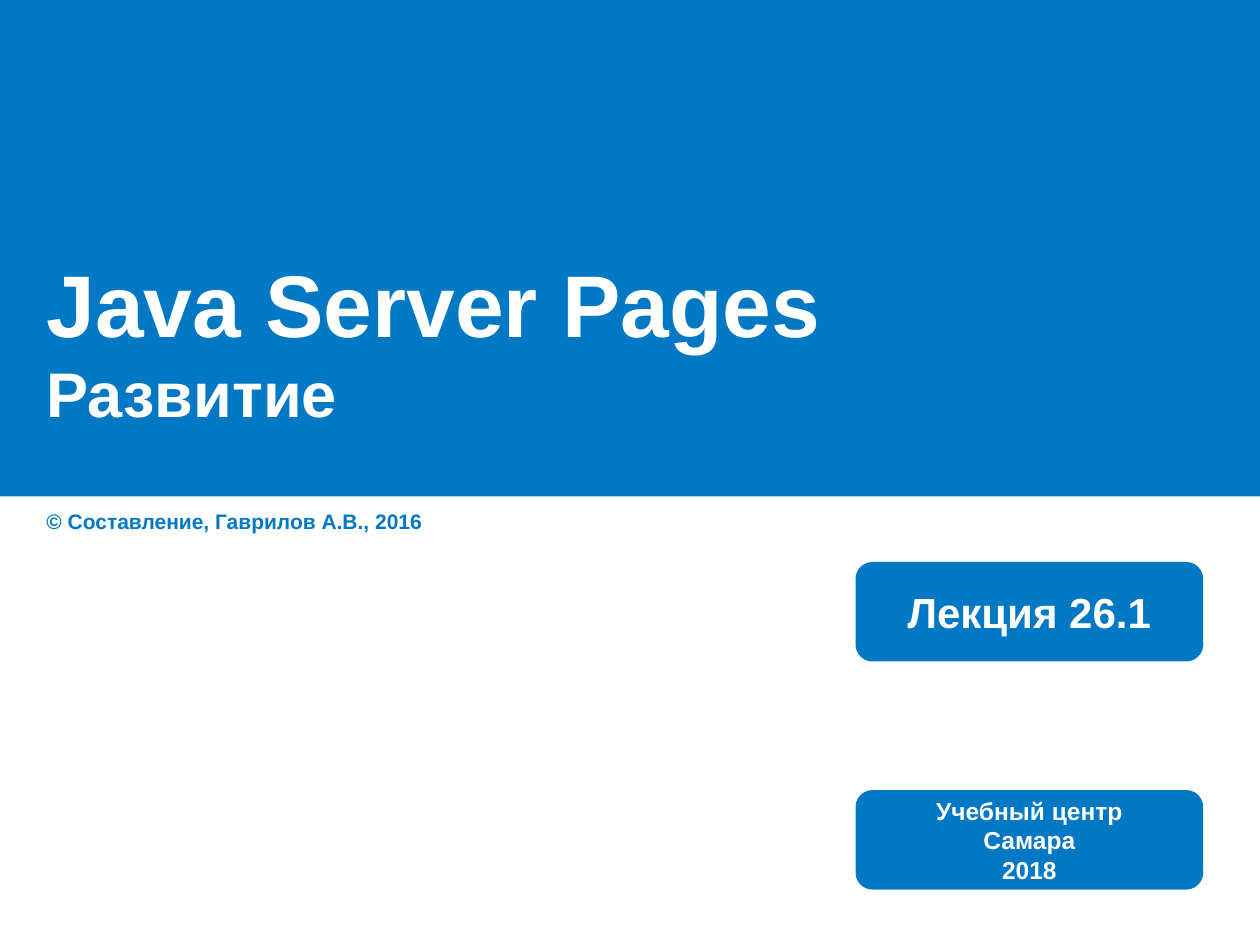
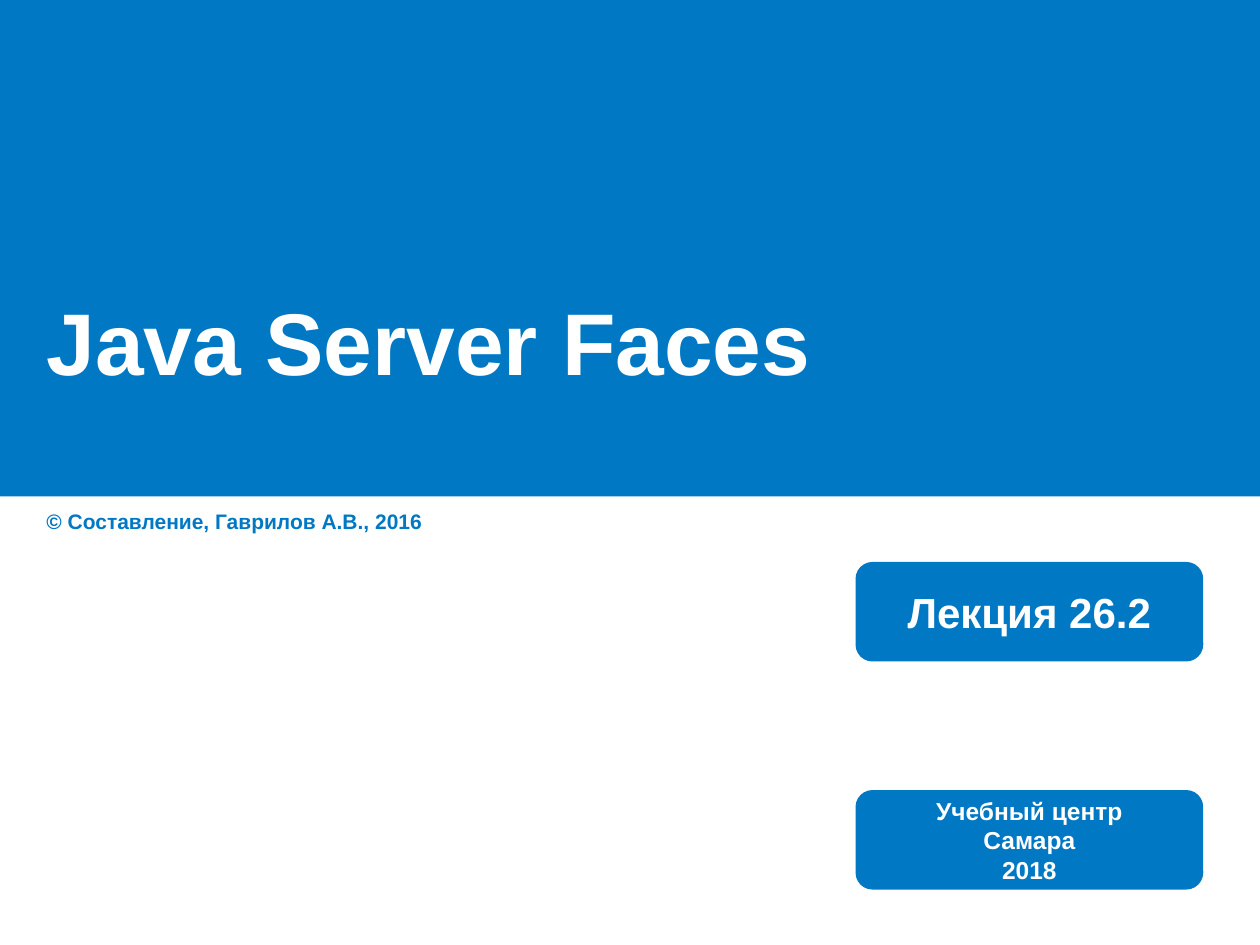
from dataclasses import dataclass

from pptx import Presentation
from pptx.dml.color import RGBColor
from pptx.enum.shapes import MSO_SHAPE
from pptx.enum.text import MSO_ANCHOR, MSO_AUTO_SIZE, PP_ALIGN
from pptx.util import Emu, Pt

RECTANGLE = MSO_SHAPE.RECTANGLE
ROUNDED = MSO_SHAPE.ROUNDED_RECTANGLE
TOP, MIDDLE = MSO_ANCHOR.TOP, MSO_ANCHOR.MIDDLE
LEFT, CENTER = PP_ALIGN.LEFT, PP_ALIGN.CENTER
NO_FIT, GROW = MSO_AUTO_SIZE.NONE, MSO_AUTO_SIZE.SHAPE_TO_FIT_TEXT

EMU_PER_PX = 9144  # 100 px to the inch
BLUE, WHITE = "0078C3", "FFFFFF"
FONT = "Arial"


@dataclass(frozen=True)
class Area:
    left: int
    top: int
    width: int
    height: int

    def emu(self) -> tuple[Emu, ...]:
        sides = (self.left, self.top, self.width, self.height)
        return tuple(Emu(side * EMU_PER_PX) for side in sides)


@dataclass(frozen=True)
class Line:
    text: str
    size: int


@dataclass(frozen=True)
class Badge:
    top: int
    lines: tuple[Line, ...]


@dataclass(frozen=True)
class Lecture:
    number: str
    title: tuple[Line, ...]


PAGE = Area(0, 0, 1000, 750)
BAND = Area(0, 0, PAGE.width, 394)
TITLE = Area(27, 149, 945, 242)
CREDIT = Area(27, 399, 488, 30)
BADGE_LEFT, BADGE_WIDTH, BADGE_HEIGHT = 679, 276, 79

CREDIT_LINE = Line("© Составление, Гаврилов А.В., 2016", 12)
SCHOOL = Badge(627, tuple(Line(text, 14) for text in ("Учебный центр", "Самара", "2018")))
LECTURES = (
    Lecture("26.1", (Line("Java Server Pages", 50), Line("Развитие", 36))),
    Lecture("26.2", (Line("Java Server Faces", 50),)),
)


def rgb(value: str) -> RGBColor:
    return RGBColor.from_string(value)


def add_span(para, text: str, *, size: int, color: str = WHITE) -> None:
    span = para.add_run()
    span.text = text
    span.font.name = FONT
    span.font.size = Pt(size)
    span.font.bold = True
    span.font.color.rgb = rgb(color)


def set_frame(box, *, anchor=MIDDLE, wrap: bool = True, fit=NO_FIT):
    frame = box.text_frame
    frame.vertical_anchor = anchor
    frame.word_wrap = wrap
    frame.auto_size = fit
    return frame


def add_panel(page, kind, area: Area):
    panel = page.shapes.add_shape(kind, *area.emu())
    panel.shadow.inherit = False
    panel.fill.solid()
    panel.fill.fore_color.rgb = rgb(BLUE)
    panel.line.fill.background()
    return panel


def move_band_to_layout(page) -> None:
    """Place the blue band behind everything on the shared layout."""
    band = add_panel(page, RECTANGLE, BAND)
    layout = page.slide_layout
    free_id = max(shape.shape_id for shape in layout.shapes) + 1
    band.element.xpath(".//p:cNvPr")[0].set("id", str(free_id))
    layout.shapes.element.insert(2, band.element)


def fill_title(page, lines: tuple[Line, ...]) -> None:
    title = page.shapes.title
    title.left, title.top, title.width, title.height = TITLE.emu()
    para = set_frame(title).paragraphs[0]
    para.alignment = LEFT
    for index, line in enumerate(lines):
        if index:
            para.add_line_break()
        add_span(para, line.text, size=line.size)


def add_credit(page) -> None:
    box = page.shapes.add_textbox(*CREDIT.emu())
    frame = set_frame(box, anchor=TOP, fit=GROW)
    add_span(frame.paragraphs[0], CREDIT_LINE.text, size=CREDIT_LINE.size, color=BLUE)


def add_badge(page, badge: Badge) -> None:
    area = Area(BADGE_LEFT, badge.top, BADGE_WIDTH, BADGE_HEIGHT)
    panel = add_panel(page, ROUNDED, area)
    panel.adjustments[0] = 0.17
    frame = set_frame(panel, wrap=False)
    for index, line in enumerate(badge.lines):
        para = frame.add_paragraph() if index else frame.paragraphs[0]
        para.alignment = CENTER
        add_span(para, line.text, size=line.size)


def add_lecture(deck, lecture: Lecture):
    page = deck.slides.add_slide(deck.slide_layouts[0])
    subtitle = page.placeholders[1].element
    subtitle.getparent().remove(subtitle)
    fill_title(page, lecture.title)
    add_credit(page)
    add_badge(page, Badge(446, (Line(f"Лекция {lecture.number}", 24),)))
    add_badge(page, SCHOOL)
    return page


def main() -> None:
    deck = Presentation()
    deck.slide_width, deck.slide_height = PAGE.emu()[2:]
    pages = [add_lecture(deck, lecture) for lecture in LECTURES]
    move_band_to_layout(pages[0])
    deck.save("out.pptx")


if __name__ == "__main__":
    main()
